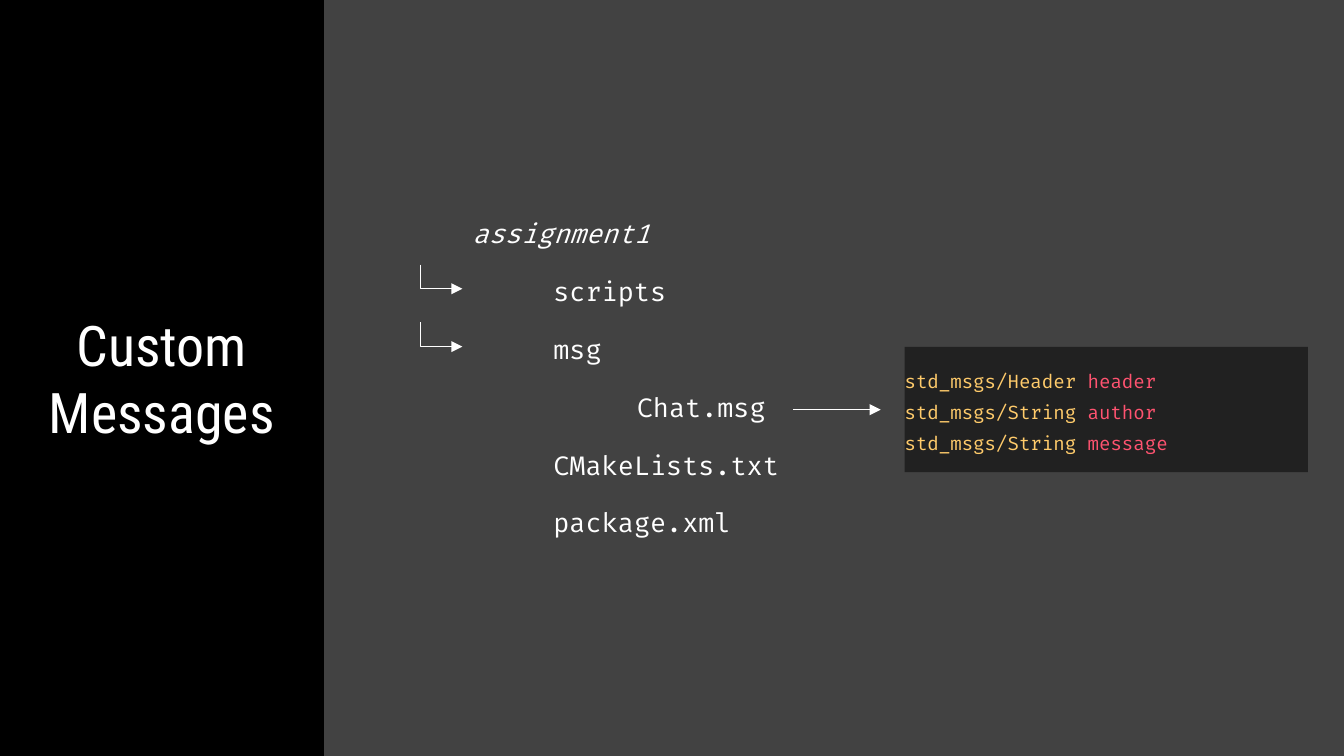
from dataclasses import dataclass

from lxml import etree
from pptx import Presentation
from pptx.dml.color import RGBColor
from pptx.enum.shapes import MSO_CONNECTOR
from pptx.enum.text import MSO_ANCHOR, MSO_AUTO_SIZE, PP_ALIGN
from pptx.oxml.ns import qn
from pptx.util import Pt

STRAIGHT, ELBOW = MSO_CONNECTOR.STRAIGHT, MSO_CONNECTOR.ELBOW
TOP, MIDDLE = MSO_ANCHOR.TOP, MSO_ANCHOR.MIDDLE
LEFT, CENTER = PP_ALIGN.LEFT, PP_ALIGN.CENTER
NO_AUTOFIT = MSO_AUTO_SIZE.NONE
TITLE_AND_CONTENT = 1


@dataclass(frozen=True)
class Theme:
    background: str = "424242"
    title_panel: str = "000000"
    code_panel: str = "212121"
    foreground: str = "FFFFFF"
    code_type: str = "FFCB6B"
    code_field: str = "FF5370"
    title_font: str = "Roboto Condensed"
    code_font: str = "Fira Code"
    title_size: int = 30
    tree_size: int = 14
    code_size: int = 10


THEME = Theme()
SLIDE_WIDTH, SLIDE_HEIGHT = 720, 405
TREE_TOP, ROW_STEP, ROW_HEIGHT = 108.7, 31, 32.4
LEVEL_LEFTS = (246.2, 289.4, 334.1)
MARGIN = 7.2

# Name, level in the tree, width of the label
TREE = (
    ("assignment1", 0, 116),
    ("scripts", 1, 103.7),
    ("msg", 1, 103.7),
    ("Chat.msg", 2, 96.5),
    ("CMakeLists.txt", 1, 141),
    ("package.xml", 1, 123),
)
FOLDER_ROWS = (1, 2)
MESSAGE_FIELDS = (
    ("std_msgs/Header", "header"),
    ("std_msgs/String", "author"),
    ("std_msgs/String", "message"),
)


def place(shape, left, top, width, height):
    shape.left, shape.top = Pt(left), Pt(top)
    shape.width, shape.height = Pt(width), Pt(height)


def fill_solid(target, color):
    target.fill.solid()
    target.fill.fore_color.rgb = RGBColor.from_string(color)


def set_frame(text_frame, anchor=MIDDLE, side_margin=MARGIN):
    text_frame.word_wrap = True
    text_frame.auto_size = NO_AUTOFIT
    text_frame.vertical_anchor = anchor
    text_frame.margin_left = text_frame.margin_right = Pt(side_margin)
    text_frame.margin_top = text_frame.margin_bottom = Pt(MARGIN)


def add_text(paragraph, text, font=THEME.code_font, size=THEME.tree_size,
             color=THEME.foreground, italic=False):
    run = paragraph.add_run()
    run.text = text
    run.font.name = font
    run.font.size = Pt(size)
    run.font.italic = italic
    run.font.color.rgb = RGBColor.from_string(color)


def format_title(title):
    place(title, 0, 0, 173.5, SLIDE_HEIGHT)
    fill_solid(title, THEME.title_panel)
    set_frame(title.text_frame)
    paragraph = title.text_frame.paragraphs[0]
    paragraph.alignment = CENTER
    add_text(paragraph, "Custom Messages", font=THEME.title_font, size=THEME.title_size)


def remove_bullet(paragraph):
    properties = paragraph._p.get_or_add_pPr()
    properties.set("marL", "0")
    properties.set("indent", "0")
    etree.SubElement(properties, qn("a:buNone"))


def format_message_code(body):
    place(body, 484.6, 185.9, 216, 67)
    fill_solid(body, THEME.code_panel)
    frame = body.text_frame
    set_frame(frame, anchor=TOP, side_margin=0)
    for index, (type_name, field_name) in enumerate(MESSAGE_FIELDS):
        paragraph = frame.add_paragraph() if index else frame.paragraphs[0]
        remove_bullet(paragraph)
        paragraph.alignment = LEFT
        paragraph.line_spacing = 1.4
        paragraph.space_before = Pt(0)
        add_text(paragraph, type_name + " ", size=THEME.code_size, color=THEME.code_type)
        add_text(paragraph, field_name, size=THEME.code_size, color=THEME.code_field)


def row_top(row):
    return TREE_TOP + row * ROW_STEP


def add_tree_label(slide, row, name, level, width):
    box = slide.shapes.add_textbox(
        Pt(LEVEL_LEFTS[level]), Pt(row_top(row)), Pt(width), Pt(ROW_HEIGHT))
    set_frame(box.text_frame)
    add_text(box.text_frame.paragraphs[0], name, italic=level == 0)


def add_arrow(slide, kind, left, top, width, height):
    connector = slide.shapes.add_connector(
        kind, Pt(left), Pt(top), Pt(left + width), Pt(top + height))
    connector.line.width = Pt(0.75)
    connector.line.color.rgb = RGBColor.from_string(THEME.foreground)
    line = connector.line._get_or_add_ln()
    etree.SubElement(line, qn("a:tailEnd"), type="triangle")
    properties = connector._element.spPr
    etree.SubElement(properties, qn("a:effectLst"))
    return connector


def add_branch_arrow(slide, row):
    """Draw an elbow that goes straight down first, then right."""
    connector = add_arrow(slide, ELBOW, 225.4, row_top(row) + 2, 22.3, 13)
    adjustments = connector._element.spPr.find(qn("a:prstGeom")).get_or_add_avLst()
    etree.SubElement(adjustments, qn("a:gd"), name="adj1", fmla="val 0")


def main():
    presentation = Presentation()
    presentation.slide_width = Pt(SLIDE_WIDTH)
    presentation.slide_height = Pt(SLIDE_HEIGHT)
    slide = presentation.slides.add_slide(presentation.slide_layouts[TITLE_AND_CONTENT])
    fill_solid(slide.background, THEME.background)
    format_title(slide.shapes.title)
    format_message_code(slide.placeholders[1])
    for row, (name, level, width) in enumerate(TREE):
        add_tree_label(slide, row, name, level, width)
    for row in FOLDER_ROWS:
        add_branch_arrow(slide, row)
    add_arrow(slide, STRAIGHT, 424.8, 219.5, 47, 0)
    presentation.save("out.pptx")


if __name__ == "__main__":
    main()
